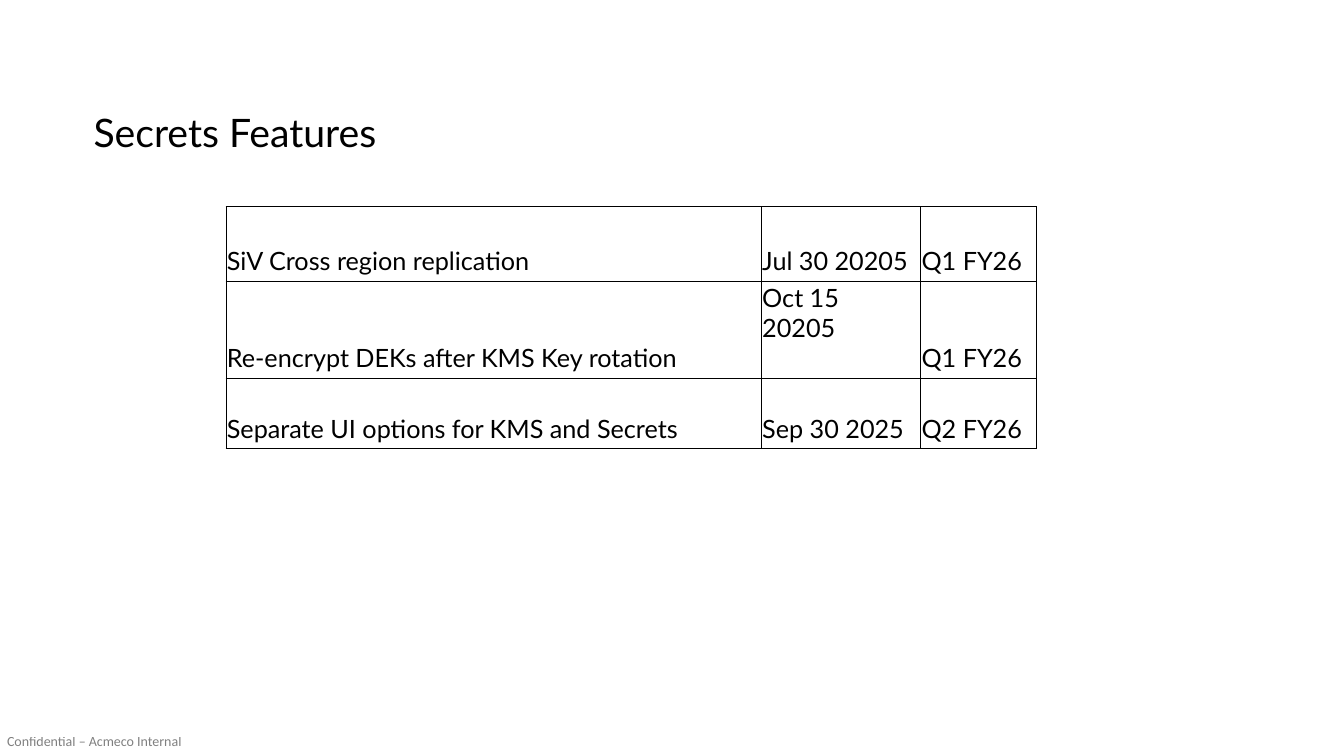
from lxml.etree import SubElement
from pptx import Presentation
from pptx.dml.color import RGBColor
from pptx.enum.text import MSO_ANCHOR
from pptx.oxml.ns import qn
from pptx.util import Inches, Pt

FEATURES = [
    ("SiV Cross region replication", "Jul 30 20205", "Q1 FY26"),
    ("Re-encrypt DEKs after KMS Key rotation", "Oct 15\v20205", "Q1 FY26"),
    ("Separate UI options for KMS and Secrets", "Sep 30 2025", "Q2 FY26"),
]
COLUMN_WIDTHS = (5.31, 1.58, 1.15)
ROW_HEIGHTS = (0.74, 0.96, 0.7)


def color(value):
    return RGBColor.from_string(value)


def write_text(frame, text, size=18, font="Lato", fill="000000", alpha=None):
    """Put one formatted paragraph in a frame; alpha is a percentage."""
    paragraph = frame.paragraphs[0]
    paragraph.text = text
    for run in paragraph.runs:
        run.font.size = Pt(size)
        run.font.name = font
        run.font.color.rgb = color(fill)
        if alpha is not None:
            tint = run.font.fill._xPr.find(".//" + qn("a:srgbClr"))
            SubElement(tint, qn("a:alpha"), val=str(alpha * 1000))


class SlideBuilder:
    def __init__(self, slide, border="000000", border_width=0.5):
        self.slide = slide
        self.border = border
        self.border_width = border_width

    def text(self, text, left, top, width, height, margins=(0.1, 0.05), **text_format):
        box = self.slide.shapes.add_textbox(
            Inches(left), Inches(top), Inches(width), Inches(height))
        frame = box.text_frame
        frame.word_wrap = True
        frame.margin_left = frame.margin_right = Inches(margins[0])
        frame.margin_top = frame.margin_bottom = Inches(margins[1])
        write_text(frame, text, **text_format)

    def table(self, rows, left, top, widths, heights):
        table = self.slide.shapes.add_table(
            len(rows), len(widths), Inches(left), Inches(top),
            Inches(sum(widths)), Inches(sum(heights))).table
        table.first_row = table.horz_banding = False
        for column, width in zip(table.columns, widths):
            column.width = Inches(width)
        for row, height, values in zip(table.rows, heights, rows):
            row.height = Inches(height)
            for cell, value in zip(row.cells, values):
                self.cell(cell, value)
        return table

    def cell(self, cell, value):
        cell.margin_left = cell.margin_right = cell.margin_top = Inches(0.01)
        cell.margin_bottom = Inches(0.05)
        cell.vertical_anchor = MSO_ANCHOR.BOTTOM
        write_text(cell.text_frame, value)
        properties = cell._tc.get_or_add_tcPr()
        for side in ("lnL", "lnR", "lnT", "lnB"):
            line = SubElement(properties, qn("a:" + side), w=str(Pt(self.border_width)))
            line_fill = SubElement(line, qn("a:solidFill"))
            SubElement(line_fill, qn("a:srgbClr"), val=self.border)
        cell.fill.background()


def main():
    presentation = Presentation()
    presentation.slide_width = Inches(13.33)
    presentation.slide_height = Inches(7.5)
    slide = presentation.slides.add_slide(presentation.slide_layouts[6])
    builder = SlideBuilder(slide)

    builder.text("Confidential – Acmeco Internal", 0.07, 7.27, 2, 0.17,
                 margins=(0, 0), size=10, font="Calibri", alpha=50)
    features = builder.table(FEATURES, 2.24, 2.05, COLUMN_WIDTHS, ROW_HEIGHTS)
    features.cell(1, 1).vertical_anchor = MSO_ANCHOR.TOP
    builder.text("Secrets Features", 0.83, 1.03, 9.7, 0.57, size=28)

    presentation.save("out.pptx")


if __name__ == "__main__":
    main()
